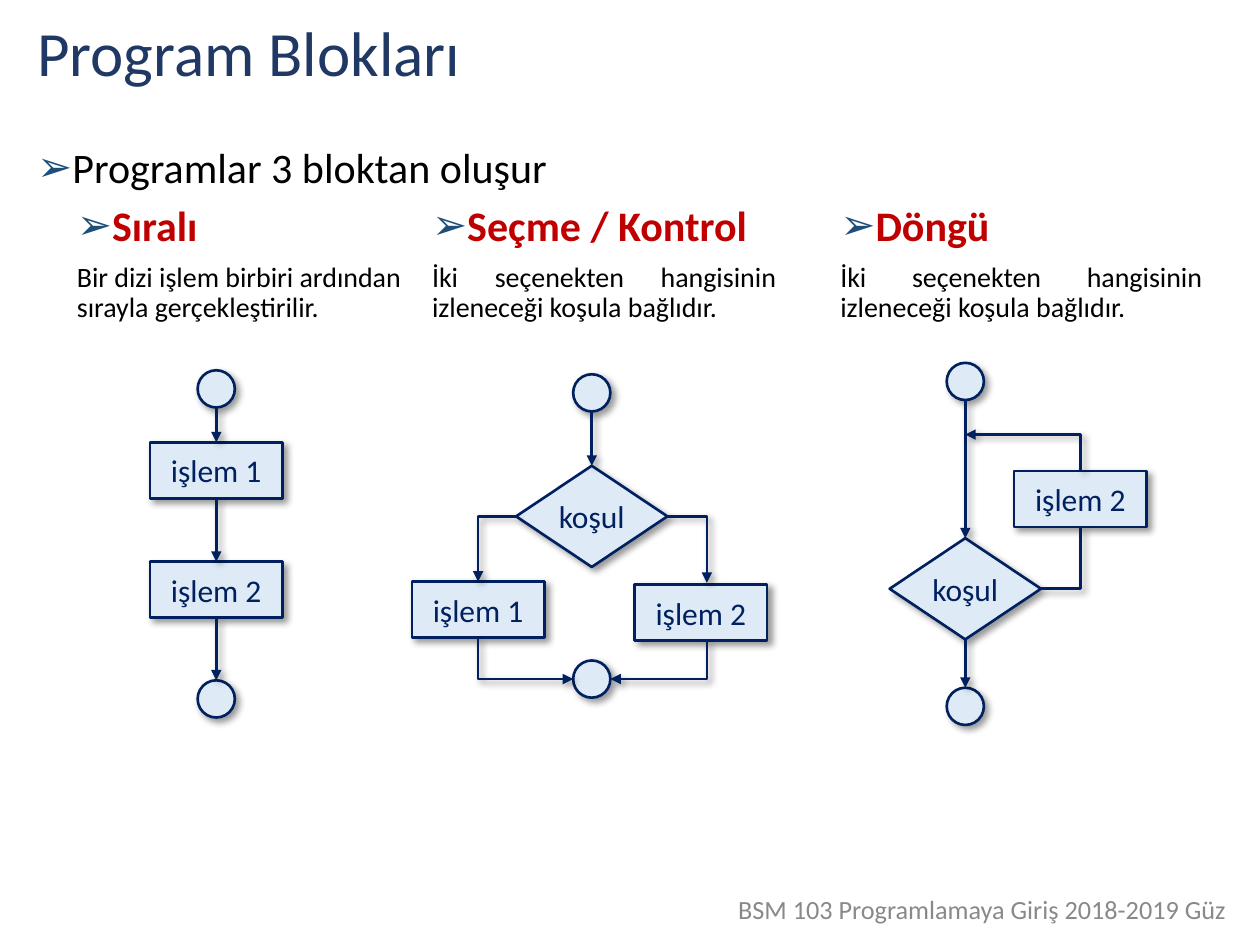
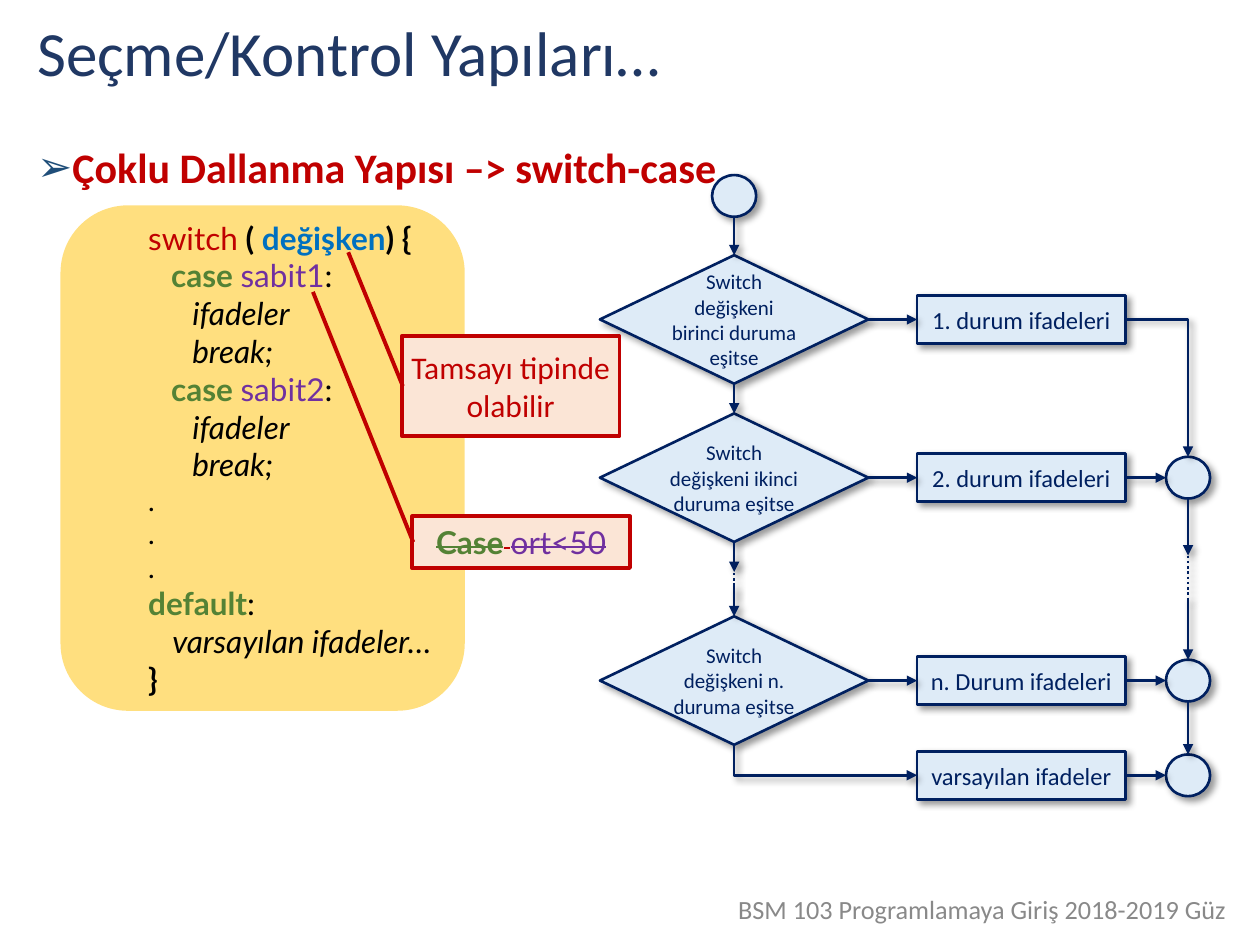
from lxml import etree
from pptx import Presentation
from pptx import util as u
from pptx.dml.color import RGBColor
from pptx.enum import dml, shapes, text
from pptx.oxml.ns import qn

Cm, Pt = u.Cm, u.Pt
SHAPE, ALIGN = shapes.MSO_SHAPE, text.PP_ALIGN

TITLE_BLUE = RGBColor(0x20, 0x38, 0x64)
BULLET_BLUE = RGBColor(0x1F, 0x4E, 0x79)
NAVY = RGBColor(0x00, 0x20, 0x60)
PALE_BLUE = RGBColor(0xDE, 0xEB, 0xF7)
GREY = RGBColor(0x89, 0x89, 0x89)
BLACK = RGBColor(0, 0, 0)
RED = RGBColor(0xC0, 0, 0)
BLUE = RGBColor(0, 0x70, 0xC0)
GREEN = RGBColor(0x54, 0x82, 0x35)
PURPLE = RGBColor(0x70, 0x30, 0xA0)
AMBER = RGBColor(0xFF, 0xC0, 0)
PEACH = RGBColor(0xFB, 0xE5, 0xD6)

FOOTER = "BSM 103 Programlamaya Giriş 2018-2019 Güz"
CHOICE = "İki seçenekten hangisinin izleneceği koşula bağlıdır."
BLOCKS = [
    (1.3, 7.29, "Sıralı", "Bir dizi işlem birbiri ardından sırayla gerçekleştirilir.", ALIGN.LEFT),
    (8.46, 7.44, "Seçme / Kontrol", CHOICE, ALIGN.JUSTIFY),
    (16.69, 7.8, "Döngü", CHOICE, ALIGN.JUSTIFY),
]

SMALL = {"circle": (0.75, 0.75), "box": (2.67, 1.13), "diamond": (3.05, 2.04), "size": 18}
LARGE = {"circle": (0.89, 0.84), "box": (4.2, 0.97), "diamond": (5.41, 2.59), "size": 12,
         "box size": 14}
KINDS = {"circle": SHAPE.OVAL, "box": SHAPE.RECTANGLE, "diamond": SHAPE.DIAMOND}

SEQUENCE = {
    "start": ("circle", 4.36, 7.84, ""),
    "first": ("box", 4.36, 9.48, "işlem 1"),
    "second": ("box", 4.36, 11.89, "işlem 2"),
    "end": ("circle", 4.36, 14.09, ""),
}
SEQUENCE_LINKS = [("start.b", "first.t"), ("first.b", "second.t"), ("second.b", "end.t")]

SELECTION = {
    "start": ("circle", 11.93, 7.92, ""),
    "test": ("diamond", 11.93, 10.41, "koşul"),
    "first": ("box", 9.64, 12.29, "işlem 1"),
    "second": ("box", 14.13, 12.35, "işlem 2"),
    "end": ("circle", 11.93, 13.69, ""),
}
SELECTION_LINKS = [
    ("start.b", "test.t"), ("test.l", "first.t"), ("test.r", (14.25, 11.75)),
    ("first.b", "end.l"), ((14.25, 12.9), "end.r"),
]

LOOP = {
    "start": ("circle", 19.46, 7.69, ""),
    "test": ("diamond", 19.46, 11.87, "koşul"),
    "body": ("box", 21.78, 10.06, "işlem 2"),
    "end": ("circle", 19.46, 14.24, ""),
}
LOOP_LINKS = [
    ("start.b", "test.t"), ("test.r", "body.b", "plain"),
    ("body.t", (19.46, 8.76)), ("test.b", "end.t"),
]

TEST_X, ACTION_X, JOIN_X = 14.8, 20.59, 23.95
ROW_1, ROW_2, ROW_N, ROW_DEFAULT = 6.44, 9.63, 13.72, 15.63
SWITCH = {
    "start": ("circle", TEST_X, 3.95, ""),
    "test1": ("diamond", TEST_X, ROW_1, "Switch değişkeni birinci duruma eşitse"),
    "test2": ("diamond", TEST_X, ROW_2, "Switch değişkeni ikinci duruma eşitse"),
    "testn": ("diamond", TEST_X, ROW_N, "Switch değişkeni n. duruma eşitse"),
    "action1": ("box", ACTION_X, ROW_1, "1. durum ifadeleri"),
    "action2": ("box", ACTION_X, ROW_2, "2. durum ifadeleri"),
    "actionn": ("box", ACTION_X, ROW_N, "n. Durum ifadeleri"),
    "default": ("box", ACTION_X, ROW_DEFAULT, "varsayılan ifadeler"),
    "join2": ("circle", JOIN_X, ROW_2, ""),
    "joinn": ("circle", JOIN_X, ROW_N, ""),
    "end": ("circle", JOIN_X, ROW_DEFAULT, ""),
}
SWITCH_LINKS = [
    ("start.b", "test1.t"), ("test1.b", "test2.t"),
    ("test2.b", (TEST_X, 11.53)), ((TEST_X, 11.81), "testn.t"),
    ((TEST_X, 11.23), (TEST_X, 12.07), "dots"),
    ("test1.r", "action1.l"), ("test2.r", "action2.l"), ("testn.r", "actionn.l"),
    ("testn.b", "default.l"), ("action1.r", "join2.t"),
    ("action2.r", "join2.l"), ("actionn.r", "joinn.l"), ("default.r", "end.l"),
    ("join2.b", (JOIN_X, 11.2)), ((JOIN_X, 12.07), "joinn.t"),
    ((JOIN_X, 11.2), (JOIN_X, 12.12), "dots"), ("joinn.b", "end.t"),
]


def case_line(constant):
    return [("   case ", GREEN, "b"), (constant, PURPLE, ""), (":", BLACK, "")]


STATEMENTS = [[("      ifadeler", BLACK, "i")], [("      break;", BLACK, "i")]]
CODE = [
    [("switch", RED, ""), (" ( ", BLACK, "b"), ("değişken", BLUE, "b"), (") {", BLACK, "b")],
    case_line("sabit1"), *STATEMENTS,
    case_line("sabit2"), *STATEMENTS,
    *[[(".", BLACK, "")]] * 3,
    [("default", GREEN, "b"), (":", BLACK, "")],
    [("   ", BLACK, ""), ("varsayılan ifadeler…", BLACK, "i")],
    [("}", BLACK, "b")],
]
CALLOUTS = [
    ((8.1, 6.78, 4.39, 2.01), (0.5, 0.005, -0.843, -0.246),
     [("Tamsayı tipinde olabilir", RED, "", "Calibri")]),
    ((8.31, 10.41, 4.39, 1.04), (0.5, 0.005, -4.351, -0.456),
     [("Case", GREEN, "bs", "Lato"), (" ", RED, "s", "Calibri"), ("ort<50", PURPLE, "s", "Lato")]),
]


def add_xml(parent, tag, **attributes):
    return etree.SubElement(parent, qn(tag), {k: str(v) for k, v in attributes.items()})


def add_runs(paragraph, runs, size, align=ALIGN.LEFT):
    paragraph.alignment = align
    for words, color, style, *face in runs:
        run = paragraph.add_run()
        run.text = words
        font = run.font
        font.name = face[0] if face else "Calibri"
        font.size, font.color.rgb = Pt(size), color
        font.bold, font.italic = "b" in style, "i" in style
        if "s" in style:
            font._element.set("strike", "sngStrike")


def add_bullet(paragraph):
    props = paragraph._p.get_or_add_pPr()
    props.set("marL", str(Cm(0.48)))
    props.set("indent", str(-Cm(0.48)))
    add_xml(add_xml(props, "a:buClr"), "a:srgbClr", val=BULLET_BLUE)
    add_xml(props, "a:buFont", typeface="Wingdings 3")
    props[-1].set("typeface", "Arial")
    add_xml(props, "a:buChar", char="➢")


def text_frame(slide, left, top, width, height):
    frame = slide.shapes.add_textbox(Cm(left), Cm(top), Cm(width), Cm(height)).text_frame
    frame.word_wrap = True
    return frame


def bullet_heading(frame, words, color, style=""):
    heading = frame.paragraphs[0]
    add_bullet(heading)
    heading.line_spacing = 0.9
    add_runs(heading, [(words, color, style)], 24)


def new_slide(deck, title, heading, color, style=""):
    slide = deck.slides.add_slide(deck.slide_layouts[6])
    add_runs(text_frame(slide, 14.3, 17.88, 11, 0.71).paragraphs[0],
             [(FOOTER, GREY, "")], 15, ALIGN.CENTER)
    frame = text_frame(slide, 0.5, 0.33, 24.4, 1.6)
    frame.vertical_anchor = text.MSO_ANCHOR.MIDDLE
    frame.paragraphs[0].line_spacing = 0.9
    add_runs(frame.paragraphs[0], [(title, TITLE_BLUE, "")], 36)
    bullet_heading(text_frame(slide, 0.5, 2.84, 24.4, 2.08), heading, color, style)
    return slide


def cast_shadow(part):
    effects = add_xml(part._element.spPr, "a:effectLst")
    shadow = add_xml(effects, "a:outerShdw", blurRad=Pt(4), dist=Pt(3), dir=45 * 60000,
                     algn="tl", rotWithShape=0)
    add_xml(add_xml(shadow, "a:srgbClr", val=BLACK), "a:alpha", val=40000)


def add_panel(slide, preset, place, fill, outline=None, weight=1.5, inset=(0.25, 0.13)):
    panel = slide.shapes.add_shape(preset, *map(Cm, place))
    panel.fill.solid()
    panel.fill.fore_color.rgb = fill
    if outline is None:
        panel.line.fill.background()
    else:
        panel.line.color.rgb, panel.line.width = outline, Pt(weight)
    frame = panel.text_frame
    frame.word_wrap = True
    frame.vertical_anchor = text.MSO_ANCHOR.MIDDLE
    frame.margin_left = frame.margin_right = Cm(inset[0])
    frame.margin_top = frame.margin_bottom = Cm(inset[1])
    return panel


def add_link(slide, start, end, style, vertical_first):
    bent = abs(start[0] - end[0]) > 0.1 and abs(start[1] - end[1]) > 0.1
    reverse = bent and vertical_first
    if reverse:
        start, end = end, start
    link = slide.shapes.add_connector(shapes.MSO_CONNECTOR.STRAIGHT, *map(Cm, start + end))
    if bent:
        link._element.spPr.find(qn("a:prstGeom")).set("prst", "bentConnector2")
    link.line.color.rgb, link.line.width = NAVY, Pt(1.5)
    if style == "dots":
        link.line.dash_style = dml.MSO_LINE.ROUND_DOT
    if style == "arrow":
        add_xml(link.line._ln, "a:headEnd" if reverse else "a:tailEnd", type="triangle")
    cast_shadow(link)


def draw_flow(slide, nodes, links, scale):
    for kind, x, y, words in nodes.values():
        width, height = scale[kind]
        node = add_panel(slide, KINDS[kind], (x - width / 2, y - height / 2, width, height),
                         PALE_BLUE, NAVY, inset=(0 if kind == "diamond" else 0.25, 0.13))
        cast_shadow(node)
        if words:
            size = scale.get(kind + " size", scale["size"])
            add_runs(node.text_frame.paragraphs[0], [(words, NAVY, "")], size, ALIGN.CENTER)

    def locate(anchor):
        if isinstance(anchor, tuple):
            return anchor
        name, side = anchor.split(".")
        kind, x, y, _ = nodes[name]
        width, height = scale[kind]
        dx, dy = {"l": (-1, 0), "r": (1, 0), "t": (0, -1), "b": (0, 1)}[side]
        return x + dx * width / 2, y + dy * height / 2

    for start, end, *style in links:
        leaves_sideways = isinstance(start, str) and start[-1] in "lr"
        add_link(slide, locate(start), locate(end), style[0] if style else "arrow",
                 not leaves_sideways)


def build_blocks(deck):
    slide = new_slide(deck, "Program Blokları", "Programlar 3 bloktan oluşur", BLACK)
    for left, width, name, description, align in BLOCKS:
        frame = text_frame(slide, left, 4.01, width, 13.92)
        bullet_heading(frame, name, RED, "b")
        detail = frame.add_paragraph()
        detail.line_spacing, detail.space_before = 0.9, Pt(7.5)
        add_runs(detail, [(description, BLACK, "")], 16, align)
    draw_flow(slide, SEQUENCE, SEQUENCE_LINKS, SMALL)
    draw_flow(slide, SELECTION, SELECTION_LINKS, SMALL)
    draw_flow(slide, LOOP, LOOP_LINKS, SMALL)


def build_switch(deck):
    slide = new_slide(deck, "Seçme/Kontrol Yapıları…",
                      "Çoklu Dallanma Yapısı –> switch-case", RED, "b")
    listing = add_panel(slide, SHAPE.ROUNDED_RECTANGLE, (1.22, 4.14, 8.15, 10.19), AMBER,
                        inset=(0.1, 0.13))
    listing.adjustments[0] = 0.167
    listing.shadow.inherit = False
    add_xml(listing._element.spPr.find(qn("a:solidFill"))[0], "a:alpha", val=50000)
    frame = listing.text_frame
    frame.word_wrap = False
    for number, line in enumerate(CODE):
        row = frame.add_paragraph() if number else frame.paragraphs[0]
        row._p.get_or_add_pPr().set("marL", str(Cm(1.27)))
        size = 16 if line[0][0] == "." else 18
        add_runs(row, [(*run, "Lato") for run in line], size)
    draw_flow(slide, SWITCH, SWITCH_LINKS, LARGE)
    for place, pointer, runs in CALLOUTS:
        callout = add_panel(slide, SHAPE.LINE_CALLOUT_1, place, PEACH, RED, 2.25, (0, 0))
        callout.shadow.inherit = False
        for index, value in enumerate(pointer):
            callout.adjustments[index] = value
        add_runs(callout.text_frame.paragraphs[0], runs, 18, ALIGN.CENTER)


def main():
    deck = Presentation()
    deck.slide_width, deck.slide_height = Cm(25.4), Cm(19.05)
    build_blocks(deck)
    build_switch(deck)
    deck.save("out.pptx")


if __name__ == "__main__":
    main()
